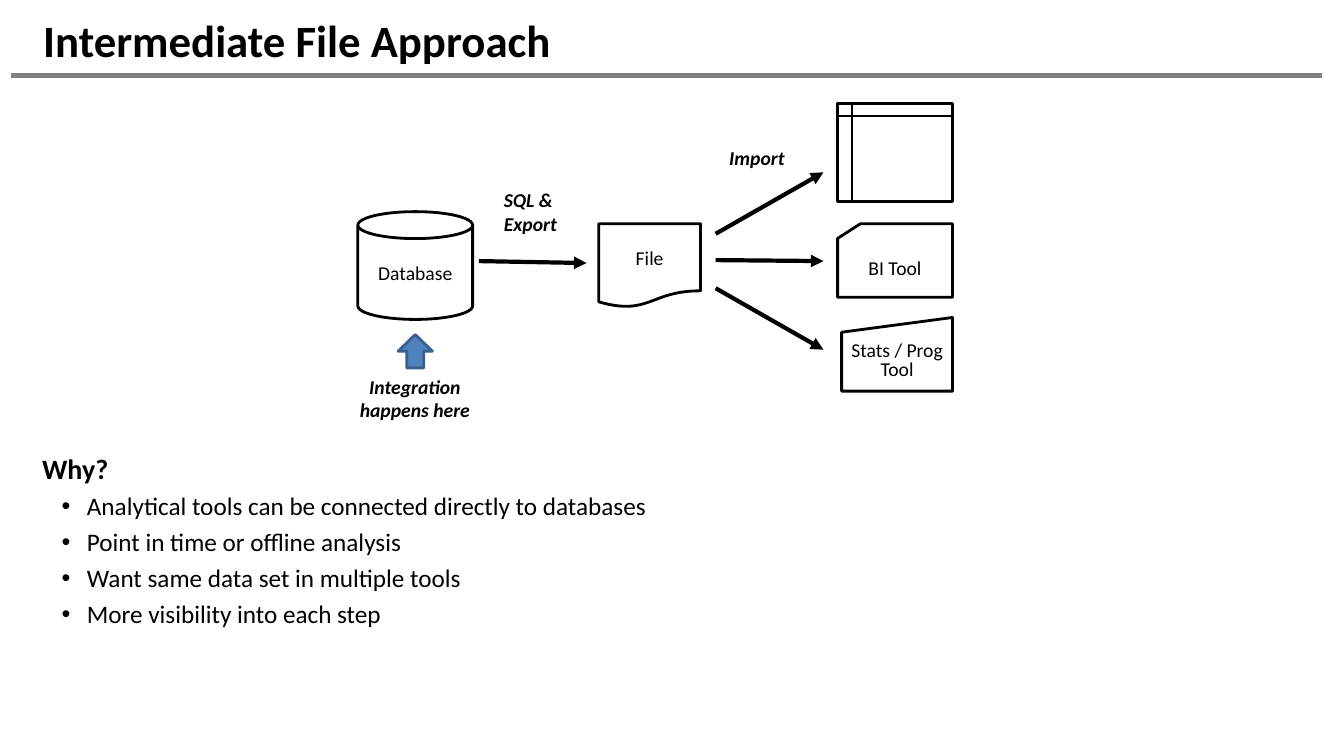
from dataclasses import dataclass

import pptx
import pptx.dml.color
import pptx.enum.shapes
import pptx.enum.text
import pptx.oxml.ns
import pptx.presentation
import pptx.shapes.autoshape
import pptx.slide
import pptx.text.text
import pptx.util
from lxml import etree

Pt = pptx.util.Pt
RGBColor = pptx.dml.color.RGBColor
Shape = pptx.enum.shapes.MSO_SHAPE
Align = pptx.enum.text.PP_ALIGN
Anchor = pptx.enum.text.MSO_ANCHOR
qn = pptx.oxml.ns.qn

BLACK = RGBColor(0x00, 0x00, 0x00)
GREY = RGBColor(0x80, 0x80, 0x80)
BLUE = RGBColor(0x4F, 0x81, 0xBD)
DARK_BLUE = RGBColor(0x3A, 0x5F, 0x8C)
FONT = "Calibri"
ARROW_RUN = 77


@dataclass(frozen=True)
class Area:
    left: float
    top: float
    width: float
    height: float


@dataclass(frozen=True)
class Node:
    kind: Shape
    area: Area
    text: str = ""
    tight: bool = False
    fill: RGBColor | None = None
    line: RGBColor = BLACK


@dataclass(frozen=True)
class Arrow:
    left: float
    top: float
    rise: float


@dataclass(frozen=True)
class Label:
    text: str
    area: Area
    align: Align = Align.CENTER


NODES = [
    Node(Shape.CAN, Area(255.6, 151.2, 82, 77), "Database"),
    Node(Shape.FLOWCHART_DOCUMENT, Area(427.7, 159.8, 72.7, 59.8), "File"),
    Node(Shape.FLOWCHART_INTERNAL_STORAGE, Area(598.3, 74.2, 82, 69.8)),
    Node(Shape.FLOWCHART_CARD, Area(598.3, 159.8, 82, 52.6), "BI Tool"),
    Node(Shape.FLOWCHART_MANUAL_INPUT, Area(601.2, 226.8, 79.2, 52.6), "Stats / Prog Tool", tight=True),
    Node(Shape.UP_ARROW, Area(284.4, 239, 24.5, 23.8), fill=BLUE, line=DARK_BLUE),
]
ARROWS = [
    Arrow(342, 186.5, -1.4),
    Arrow(511.2, 167, 43.9),
    Arrow(511.2, 185.8, -0.7),
    Arrow(511.2, 205.9, -43.9),
]
LABELS = [
    Label("SQL & Export", Area(352.8, 131, 54, 41), Align.LEFT),
    Label("Import", Area(509, 100.8, 63.4, 24.5)),
    Label("Integration happens here", Area(248.4, 264.2, 96, 41)),
]
REASONS = [
    "Analytical tools can be connected directly to databases",
    "Point in time or offline analysis",
    "Want same data set in multiple tools",
    "More visibility into each step",
]


def set_font(para: pptx.text.text._Paragraph, size: float, bold: bool = False, italic: bool = False) -> None:
    font = para.font
    font.name = FONT
    font.size = Pt(size)
    font.bold = bold
    font.italic = italic
    font.color.rgb = BLACK


def add_text_frame(page: pptx.slide.Slide, area: Area) -> pptx.text.text.TextFrame:
    box = page.shapes.add_textbox(Pt(area.left), Pt(area.top), Pt(area.width), Pt(area.height))
    box.text_frame.word_wrap = True
    return box.text_frame


def draw_line(page: pptx.slide.Slide, start: tuple[float, float], end: tuple[float, float],
              color: RGBColor, arrow: bool = False) -> None:
    line = page.shapes.add_connector(
        pptx.enum.shapes.MSO_CONNECTOR.STRAIGHT, Pt(start[0]), Pt(start[1]), Pt(end[0]), Pt(end[1]))
    line.line.color.rgb = color
    line.line.width = Pt(3)
    if arrow:
        etree.SubElement(line.line._get_or_add_ln(), qn("a:tailEnd"), type="triangle")
    etree.SubElement(line._element.spPr, qn("a:effectLst"))


def draw_node(page: pptx.slide.Slide, node: Node) -> None:
    area = node.area
    shape = page.shapes.add_shape(node.kind, Pt(area.left), Pt(area.top), Pt(area.width), Pt(area.height))
    shape.shadow.inherit = False
    if node.fill is None:
        shape.fill.background()
    else:
        shape.fill.solid()
        shape.fill.fore_color.rgb = node.fill
    shape.line.color.rgb = node.line
    shape.line.width = Pt(2)
    if not node.text:
        return
    frame = shape.text_frame
    frame.word_wrap = True
    frame.vertical_anchor = Anchor.MIDDLE
    para = frame.paragraphs[0]
    para.text = node.text
    para.alignment = Align.CENTER
    if node.tight:
        frame.margin_left = frame.margin_right = frame.margin_top = frame.margin_bottom = Pt(0)
        para.line_spacing = 0.8
    set_font(para, 14)


def draw_label(page: pptx.slide.Slide, label: Label) -> None:
    para = add_text_frame(page, label.area).paragraphs[0]
    para.text = label.text
    para.alignment = label.align
    set_font(para, 14, bold=True, italic=True)


def draw_title(page: pptx.slide.Slide) -> None:
    frame = add_text_frame(page, Area(23.8, 12.2, 920, 32.4))
    frame.vertical_anchor = Anchor.MIDDLE
    para = frame.paragraphs[0]
    para.text = "Intermediate File Approach"
    set_font(para, 32, bold=True)


def draw_reasons(page: pptx.slide.Slide) -> None:
    frame = add_text_frame(page, Area(23, 319, 617.8, 134.6))
    heading = frame.paragraphs[0]
    heading.text = "Why?"
    set_font(heading, 20, bold=True)
    for reason in REASONS:
        para = frame.add_paragraph()
        para.text = reason
        para.space_before = Pt(4)
        properties = para._p.get_or_add_pPr()
        properties.set("marL", str(Pt(32)))
        properties.set("indent", str(-Pt(18)))
        etree.SubElement(properties, qn("a:buFont"), typeface="Arial")
        etree.SubElement(properties, qn("a:buChar"), char="•")
        set_font(para, 18)


def main() -> None:
    deck = pptx.Presentation()
    deck.slide_width = Pt(960)
    deck.slide_height = Pt(540)
    page = deck.slides.add_slide(deck.slide_layouts[6])
    draw_line(page, (8, 54), (944, 54), GREY)
    draw_title(page)
    draw_reasons(page)
    for node in NODES:
        draw_node(page, node)
    for arrow in ARROWS:
        end = (arrow.left + ARROW_RUN, arrow.top - arrow.rise)
        draw_line(page, (arrow.left, arrow.top), end, BLACK, arrow=True)
    for label in LABELS:
        draw_label(page, label)
    deck.save("out.pptx")


if __name__ == "__main__":
    main()
